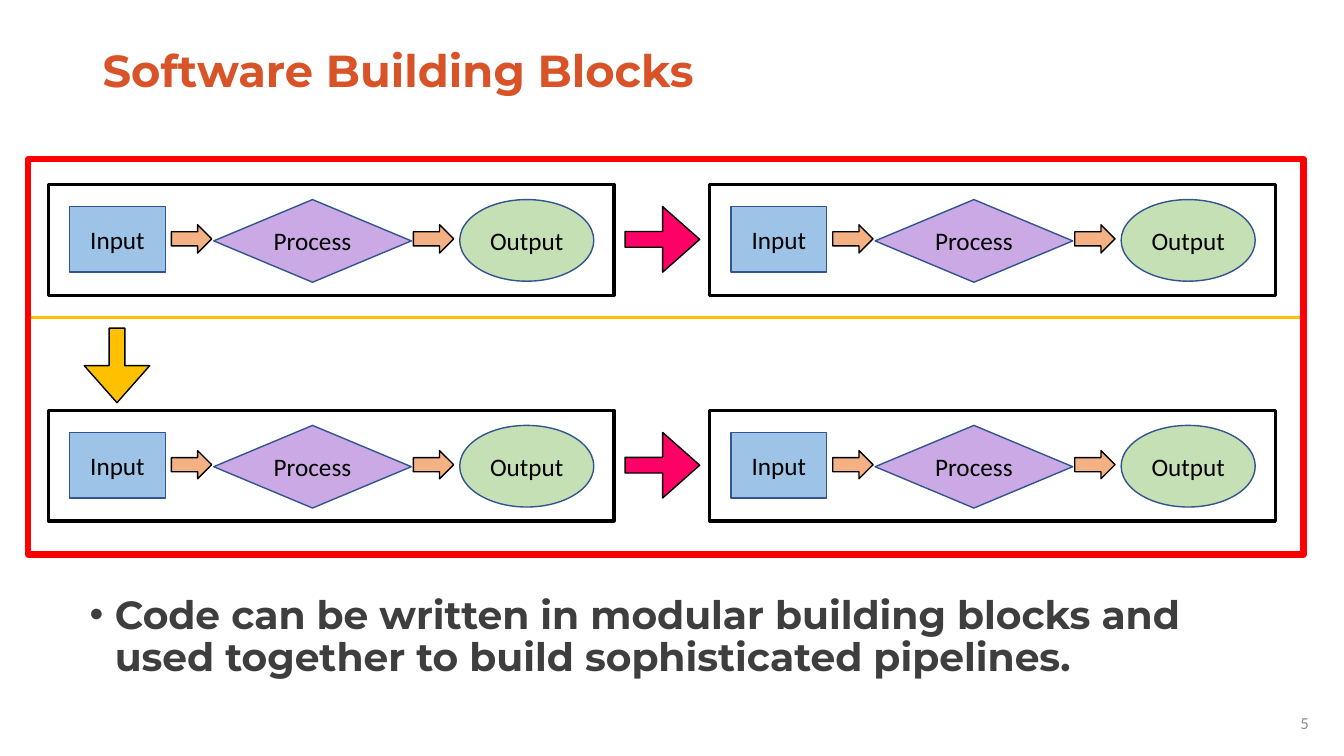
from lxml import etree
from pptx import Presentation
from pptx.dml.color import RGBColor
from pptx.enum.shapes import MSO_SHAPE
from pptx.enum.text import MSO_ANCHOR, PP_ALIGN
from pptx.oxml.ns import qn
from pptx.util import Inches, Pt

RECT, DIAMOND = MSO_SHAPE.RECTANGLE, MSO_SHAPE.DIAMOND
OVAL, ARROW = MSO_SHAPE.OVAL, MSO_SHAPE.RIGHT_ARROW
LEFT, CENTER, RIGHT = PP_ALIGN.LEFT, PP_ALIGN.CENTER, PP_ALIGN.RIGHT
TOP, MIDDLE = MSO_ANCHOR.TOP, MSO_ANCHOR.MIDDLE

SLIDE_W, SLIDE_H = 13.33, 7.5
BLACK, NAVY, GOLD, RED, PINK, PEACH = (
    "000000", "325491", "FFC000", "FF0000", "FF0066", "F4B183")

# Pipeline grid: two columns and two rows of blocks
BLOCK_W, BLOCK_H = 5.61, 1.1
COLUMN_PITCH, ROW_PITCH = 6.56, 2.24
LINK_W, LINK_H = 0.74, 0.65

# Steps of a block: label, preset, fill, and box relative to the block
STEPS = [
    ("Input", RECT, "9DC3E6", (0.21, 0.22, 0.95, 0.65)),
    ("Process", DIAMOND, "CBA9E5", (1.64, 0.15, 1.96, 0.82)),
    ("Output", OVAL, "C5E0B4", (4.08, 0.15, 1.33, 0.81)),
]
STEP_ARROW_LEFTS = (1.22, 3.62)


def color(hex_string):
    return RGBColor.from_string(hex_string)


def write(frame, text, size, font, ink, align, anchor, bold=False):
    frame.text = text
    frame.word_wrap = True
    frame.vertical_anchor = anchor
    paragraph = frame.paragraphs[0]
    paragraph.alignment = align
    style = paragraph.runs[0].font
    style.size, style.name, style.bold = Pt(size), font, bold
    style.color.rgb = color(ink)
    return paragraph


def add_text(slide, box, *style, **options):
    frame = slide.shapes.add_textbox(*map(Inches, box)).text_frame
    return write(frame, *style, **options)


def add_outline(slide, preset, box, fill, line, width):
    shape = slide.shapes.add_shape(preset, *map(Inches, box))
    shape.shadow.inherit = False
    if fill:
        shape.fill.solid()
        shape.fill.fore_color.rgb = color(fill)
    else:
        shape.fill.background()
    shape.line.color.rgb = color(line)
    shape.line.width = Pt(width)
    return shape


def add_link(slide, left, top, fill, rotation=0):
    link = add_outline(slide, ARROW, (left, top, LINK_W, LINK_H), fill, BLACK, 1)
    link.adjustments[0], link.adjustments[1] = 0.24, 0.565
    link.rotation = rotation


def add_block(slide, left, top):
    for label, preset, fill, (dx, dy, width, height) in STEPS:
        step = add_outline(slide, preset, (left + dx, top + dy, width, height),
                           fill, NAVY, 1)
        frame = step.text_frame
        frame.margin_left = frame.margin_right = 0
        write(frame, label, 18, "Calibri", BLACK, CENTER, MIDDLE)
    add_outline(slide, RECT, (left, top, BLOCK_W, BLOCK_H), None, BLACK, 2.25)
    for dx in STEP_ARROW_LEFTS:
        add_outline(slide, ARROW, (left + dx, top + 0.4, 0.4, 0.28),
                    PEACH, BLACK, 1)


def add_pipeline(slide, left, top, width, height):
    block_left, block_top = left + 0.2, top + 0.25
    for row in range(2):
        row_top = block_top + row * ROW_PITCH
        for column in range(2):
            add_block(slide, block_left + column * COLUMN_PITCH, row_top)
        add_link(slide, block_left + BLOCK_W + 0.11, row_top + 0.22, PINK)
    # Frames around the first row and around the whole pipeline
    add_outline(slide, RECT, (left, top, width, 1.57), None, GOLD, 2.25)
    add_outline(slide, RECT, (left, top, width, height), None, RED, 4.5)
    # Link from the first row down to the second
    add_link(slide, block_left + 0.31, top + 1.72, GOLD, rotation=90)


def add_title(slide, box):
    title = add_text(slide, box, "Software Building Blocks", 32, "Montserrat",
                     "D85327", LEFT, MIDDLE, bold=True)
    title.line_spacing = 0.9


def add_summary(slide, box):
    summary = add_text(
        slide, box,
        "Code can be written in modular building blocks and used together "
        "to build sophisticated pipelines.",
        28, "Montserrat", "3E3E3E", LEFT, TOP, bold=True)
    summary.line_spacing = 0.9
    summary.space_before = Pt(10)
    properties = summary._p.get_or_add_pPr()
    properties.set("marL", str(Inches(0.25)))
    properties.set("indent", str(Inches(-0.25)))
    etree.SubElement(properties, qn("a:buFont")).set("typeface", "Arial")
    etree.SubElement(properties, qn("a:buChar")).set("char", "•")


def add_page_number(slide, box):
    add_text(slide, box, "5", 12, "Calibri", "8C8C8C", RIGHT, MIDDLE)


def main():
    deck = Presentation()
    deck.slide_width, deck.slide_height = Inches(SLIDE_W), Inches(SLIDE_H)
    slide = deck.slides.add_slide(deck.slide_layouts[6])
    add_title(slide, (0.92, 0.4, 7.47, 0.65))
    add_page_number(slide, (12.6, 6.97, 0.48, 0.4))
    add_pipeline(slide, 0.28, 1.58, 12.65, 3.92)
    add_summary(slide, (0.79, 5.86, 11.58, 1.31))
    deck.save("out.pptx")


if __name__ == "__main__":
    main()
